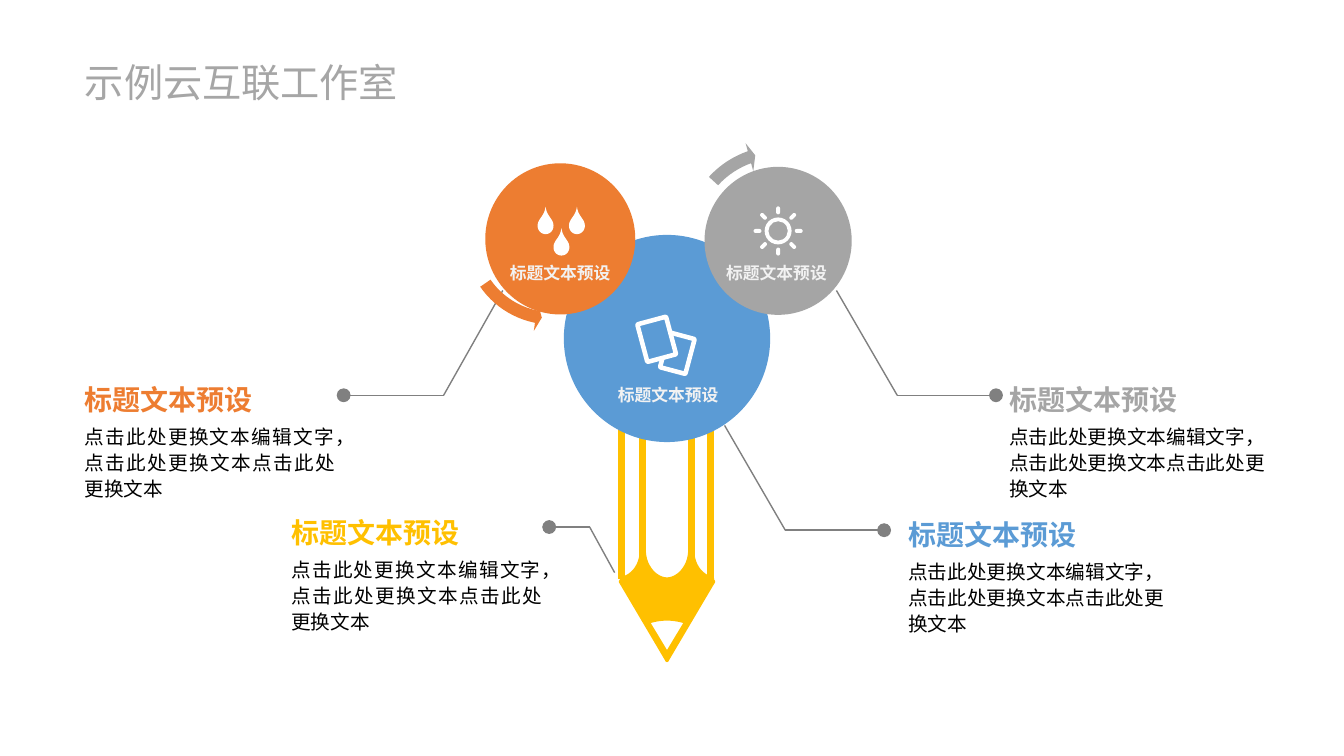
import math

import pptx
import pptx.dml.color
import pptx.enum.shapes
import pptx.enum.text
import pptx.oxml.ns
import pptx.util
from lxml import etree

Cm = pptx.util.Cm
SHAPE = pptx.enum.shapes.MSO_SHAPE
STRAIGHT = pptx.enum.shapes.MSO_CONNECTOR.STRAIGHT
ALIGN = pptx.enum.text.PP_ALIGN
ANCHOR = pptx.enum.text.MSO_ANCHOR
rgb = pptx.dml.color.RGBColor.from_string
qn = pptx.oxml.ns.qn

COLORS = {
    "yellow": "FFC000",
    "blue": "5B9BD5",
    "orange": "ED7D31",
    "gray": "A5A5A5",
    "white": "FFFFFF",
    "label": "F2F2F2",
    "leader": "808080",
    "title": "A6A6A6",
    "body": "000000",
}
HEADING = "标题文本预设"
BODY = "点击此处更换文本编辑文字，点击此处更换文本点击此处更换文本"

deck = pptx.Presentation()
deck.slide_width, deck.slide_height = Cm(33.87), Cm(19.05)
slide = deck.slides.add_slide(deck.slide_layouts[5])
shapes = slide.shapes


def write(text, box, size, color, font="Noto Sans CJK SC", bold=False, align=ALIGN.LEFT,
          anchor=ANCHOR.TOP, wrap=False, spacing=None, inset=0, holder=None):
    left, top, width, height = [Cm(value) for value in box]
    holder = holder or shapes.add_textbox(left, top, width, height)
    holder.left, holder.top, holder.width, holder.height = left, top, width, height
    frame = holder.text_frame
    frame.auto_size = pptx.enum.text.MSO_AUTO_SIZE.NONE
    frame.word_wrap = wrap
    frame.vertical_anchor = anchor
    frame.margin_left = frame.margin_right = Cm(inset)
    frame.margin_top = frame.margin_bottom = 0
    paragraph = frame.paragraphs[0]
    paragraph.alignment = align
    paragraph.line_spacing = spacing
    run = paragraph.add_run()
    run.text = text
    run.font.size = pptx.util.Pt(size)
    run.font.bold = bold
    run.font.color.rgb = rgb(COLORS[color])
    run.font.name = font
    etree.SubElement(run.font._element, qn("a:ea"), typeface=font)


def draw_outline(contours, x, y, color):
    builder = None
    for start, *steps in contours:
        points = [start]
        for step in steps:
            if len(step) == 2:
                points.append(step)
                continue
            bends = [points[-1], step[:2], step[2:4], step[4:]]
            for t in [i / 12 for i in range(1, 13)]:
                weights = [(1 - t) ** 3, 3 * t * (1 - t) ** 2, 3 * t * t * (1 - t), t ** 3]
                points.append([sum(w * p[axis] for w, p in zip(weights, bends)) for axis in (0, 1)])
        corners = [(Cm(x + px), Cm(y + py)) for px, py in points]
        if builder is None:
            builder = shapes.build_freeform(*corners[0])
        else:
            builder.move_to(*corners[0])
        builder.add_line_segments(corners[1:], close=True)
    outline = builder.convert_to_shape()
    outline.shadow.inherit = False
    outline.fill.solid()
    outline.fill.fore_color.rgb = rgb(COLORS[color])
    outline.line.fill.background()


write("示例云互联工作室", (1.85, 1.22, 8.38, 1.27), 28, "title", font="Noto Sans CJK JP",
      align=ALIGN.RIGHT, spacing=1.2, inset=0.2, holder=shapes.title)

pencil_x = 16.81
barrel = [((pencil_x + offset, top), (pencil_x + offset, top + 4.11), "yellow", 5, False)
          for offset, top in ((-1.14, 10.49), (1.1, 10.49), (-0.61, 10.13), (0.61, 10.13))]
leaders = []
for start, knee, end in (
    ((12.67, 7.32), (11.18, 9.96), (8.66, 9.96)),
    ((21.08, 7.32), (22.61, 9.96), (25.1, 9.96)),
    ((18.26, 10.72), (19.79, 13.36), (22.28, 13.36)),
    ((15.49, 14.43), (14.86, 13.28), (13.84, 13.28)),
):
    leaders += [(start, knee, "leader", 1, False), (knee, end, "leader", 1, True)]

for start, end, color, weight, dotted in barrel + leaders:
    stroke = shapes.add_connector(STRAIGHT, *[Cm(value) for value in start + end])
    stroke.line.color.rgb = rgb(COLORS[color])
    stroke.line.width = pptx.util.Pt(weight)
    if dotted:
        etree.SubElement(stroke.line._get_or_add_ln(), qn("a:tailEnd"), type="oval", w="lg", len="lg")
    etree.SubElement(stroke._element.spPr, qn("a:effectLst"))

pencil_tip = [
    (-1.19, 14.71), (-0.05, 16.64), (-0.03, 16.7, 0.03, 16.7, 0.05, 16.64), (1.19, 14.71),
    (1.22, 14.68, 1.22, 14.63, 1.19, 14.61), (1.19, 14.55, 1.17, 14.55, 1.14, 14.53),
    (0.91, 14.48, 0.71, 14.25, 0.69, 13.92), (0.67, 13.78, 0.54, 13.78, 0.53, 13.92),
    (0.51, 14.27, 0.25, 14.55, 0, 14.55), (-0.25, 14.55, -0.51, 14.27, -0.53, 13.92),
    (-0.54, 13.78, -0.67, 13.78, -0.69, 13.92), (-0.71, 14.25, -0.91, 14.48, -1.14, 14.53),
    (-1.17, 14.55, -1.19, 14.55, -1.19, 14.61), (-1.22, 14.63, -1.22, 14.68, -1.19, 14.71),
]
pencil_lead = [(-0.41, 15.7), (-0.13, 15.62, 0.13, 15.62, 0.41, 15.7), (0, 16.38)]
draw_outline([pencil_tip, pencil_lead], pencil_x, 0, "yellow")

sun_x, sun_y = 19.61, 5.82
rays = []
for step in range(8):
    angle = math.radians(45 * step)
    rays.append((SHAPE.ROUNDED_RECTANGLE, sun_x + 0.52 * math.cos(angle),
                 sun_y + 0.52 * math.sin(angle), 0.2, 0.1, 45 * step, "white", None, [0.5]))

solids = [
    (SHAPE.OVAL, 16.81, 8.53, 5.2, 5.22, 0, "blue", None, []),
    (SHAPE.OVAL, 14.12, 6.02, 3.78, 3.81, 0, "orange", None, []),
    (SHAPE.OVAL, 19.61, 6.07, 3.71, 3.73, 0, "gray", None, []),
    (SHAPE.LEFT_CIRCULAR_ARROW, 13.93, 5.97, 4.85, 4.83, 357.1, "orange", None,
     [0.065, 4.3 * 0.6, 104.891 * 0.6, 148.378 * 0.6, 0.075]),
    (SHAPE.CIRCULAR_ARROW, 19.63, 6.08, 5.23, 5.21, 117.5, "gray", None,
     [0.06, 3.941 * 0.6, 133.138 * 0.6, 105.082 * 0.6, 0.07]),
    (SHAPE.DONUT, sun_x, sun_y, 0.68, 0.68, 0, "white", None, [0.14]),
    *rays,
    (SHAPE.ROUNDED_RECTANGLE, 17.07, 8.9, 0.66, 0.91, 15, "blue", "white", [0.04]),
    (SHAPE.ROUNDED_RECTANGLE, 16.55, 8.55, 0.75, 0.98, 345, "blue", "white", [0.04]),
]
for kind, x, y, width, height, turn, fill, edge, adjustments in solids:
    solid = shapes.add_shape(kind, Cm(x - width / 2), Cm(y - height / 2), Cm(width), Cm(height))
    solid.rotation = turn
    solid.shadow.inherit = False
    solid.fill.solid()
    solid.fill.fore_color.rgb = rgb(COLORS[fill])
    if edge:
        solid.line.color.rgb = rgb(COLORS[edge])
        solid.line.width = pptx.util.Pt(3.25)
    else:
        solid.line.fill.background()
    for index, value in enumerate(adjustments):
        solid.adjustments[index] = value

drops = []
for x, y in ((13.75, 5.21), (14.54, 5.21), (14.15, 5.75)):
    drops.append([(x, y), (x + 0.03, y + 0.25, x + 0.2, y + 0.3, x + 0.2, y + 0.48),
                  (x + 0.2, y + 0.6, x + 0.11, y + 0.69, x, y + 0.69),
                  (x - 0.11, y + 0.69, x - 0.2, y + 0.6, x - 0.2, y + 0.48),
                  (x - 0.2, y + 0.3, x - 0.03, y + 0.25, x, y)])
draw_outline(drops, 0, 0, "white")

for x, y in ((16.84, 9.96), (14.12, 6.88), (19.57, 6.88)):
    write(HEADING, (x - 1.67, y - 0.25, 3.34, 0.5), 12, "label", bold=True,
          align=ALIGN.CENTER, anchor=ANCHOR.MIDDLE)

for x, y, width, color in (
    (7.34, 12.98, 6.32, "yellow"),
    (2.13, 9.63, 6.32, "orange"),
    (25.43, 9.63, 6.45, "gray"),
    (22.89, 13.03, 6.45, "blue"),
):
    write(HEADING, (x, y, width, 0.61), 20, color, bold=True)
    write(BODY, (x, y + 1.02, width, 1.27), 14, "body", align=ALIGN.JUSTIFY, wrap=True, spacing=1.1)

deck.save("out.pptx")
